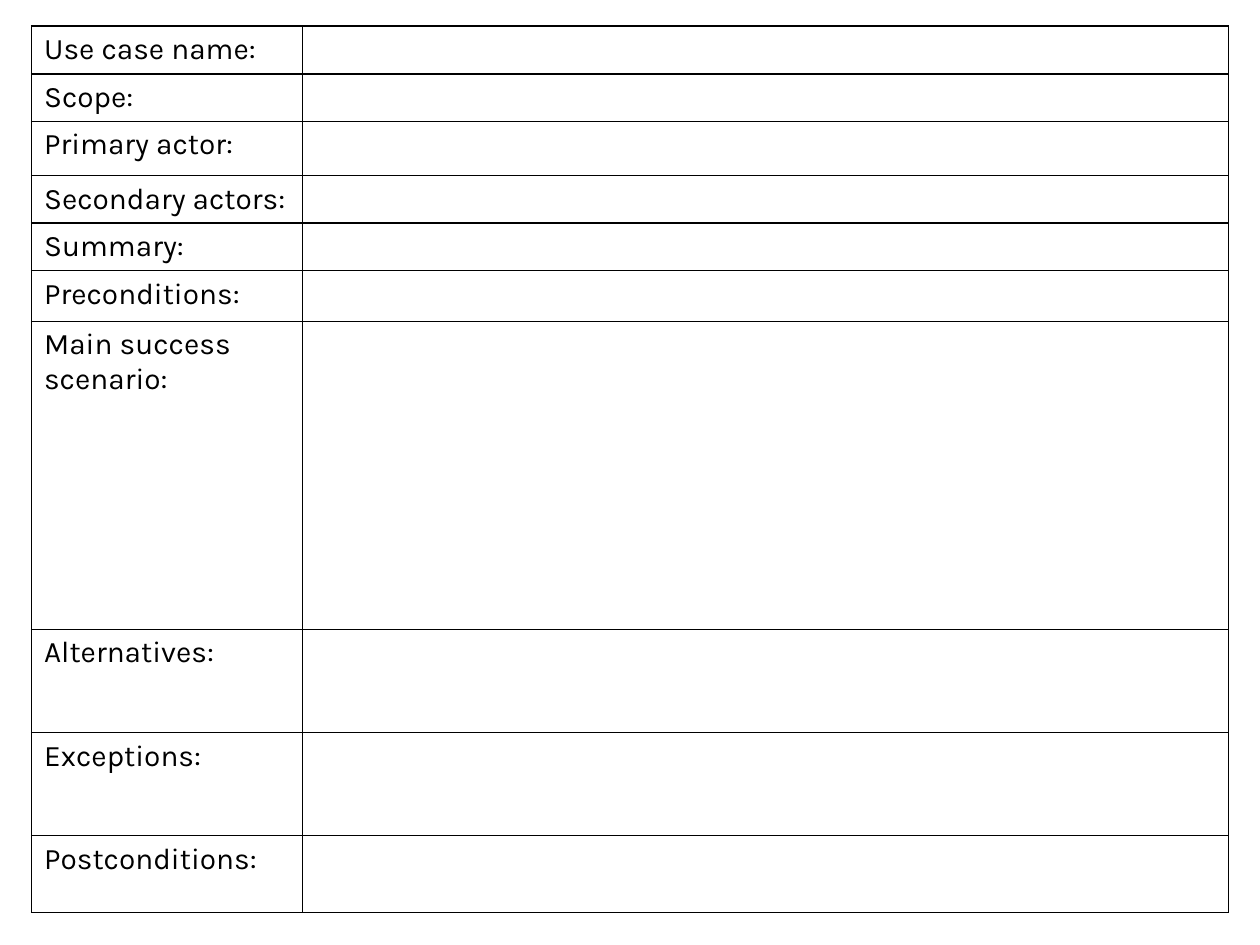
from lxml import etree
from pptx import Presentation
from pptx.dml.color import RGBColor
from pptx.oxml.ns import qn
from pptx.util import Pt

INK = {"line": "000000", "text": "000000"}
FONT, SIZE = "Karla", 17
PLAIN = "{2D5ABB26-0587-4C30-8999-92F81FD0307C}"
COLS = [155, 529]
ROWS = [
    ("Use case name:", 27),
    ("Scope:", 27),
    ("Primary actor:", 31),
    ("Secondary actors:", 27),
    ("Summary:", 27),
    ("Preconditions:", 29),
    ("Main success scenario:", 176),
    ("Alternatives:", 59),
    ("Exceptions:", 59),
    ("Postconditions:", 44),
]


def add_edges(cell):
    """Draw a thin line on all four sides of a cell."""
    props = cell._tc.get_or_add_tcPr()
    for spot, side in enumerate(("lnL", "lnR", "lnT", "lnB")):
        line = etree.Element(qn("a:" + side), w=str(Pt(1)))
        fill = etree.SubElement(line, qn("a:solidFill"))
        etree.SubElement(fill, qn("a:srgbClr"), val=INK["line"])
        props.insert(spot, line)


def fill_cell(cell, label):
    """Set the text, fill and edges of one cell."""
    cell.fill.background()
    add_edges(cell)
    if not label:
        para = cell.text_frame.paragraphs[0]
        tail = etree.SubElement(para._p, qn("a:endParaRPr"), sz=str(SIZE * 100))
        etree.SubElement(tail, qn("a:latin"), typeface=FONT)
        return
    cell.text_frame.text = label
    font = cell.text_frame.paragraphs[0].runs[0].font
    font.name = FONT
    font.size = Pt(SIZE)
    font.color.rgb = RGBColor.from_string(INK["text"])


def add_form(slide, left, top):
    """Place the use case form with its top left corner at the given point."""
    high = sum(size for _, size in ROWS)
    form = slide.shapes.add_table(
        len(ROWS), len(COLS), Pt(left), Pt(top), Pt(sum(COLS)), Pt(high)).table
    form.first_row = form.horz_banding = False
    form._tbl.tblPr.find(qn("a:tableStyleId")).text = PLAIN
    for col, wide in zip(form.columns, COLS):
        col.width = Pt(wide)
    for row, (label, size) in zip(form.rows, ROWS):
        row.height = Pt(size)
        for cell, words in zip(row.cells, (label, "")):
            fill_cell(cell, words)


def main():
    """Build the slide and save it."""
    deck = Presentation()
    deck.slide_width, deck.slide_height = Pt(720), Pt(540)
    slide = deck.slides.add_slide(deck.slide_layouts[6])
    add_form(slide, 18, 15)
    deck.save("out.pptx")


main()
